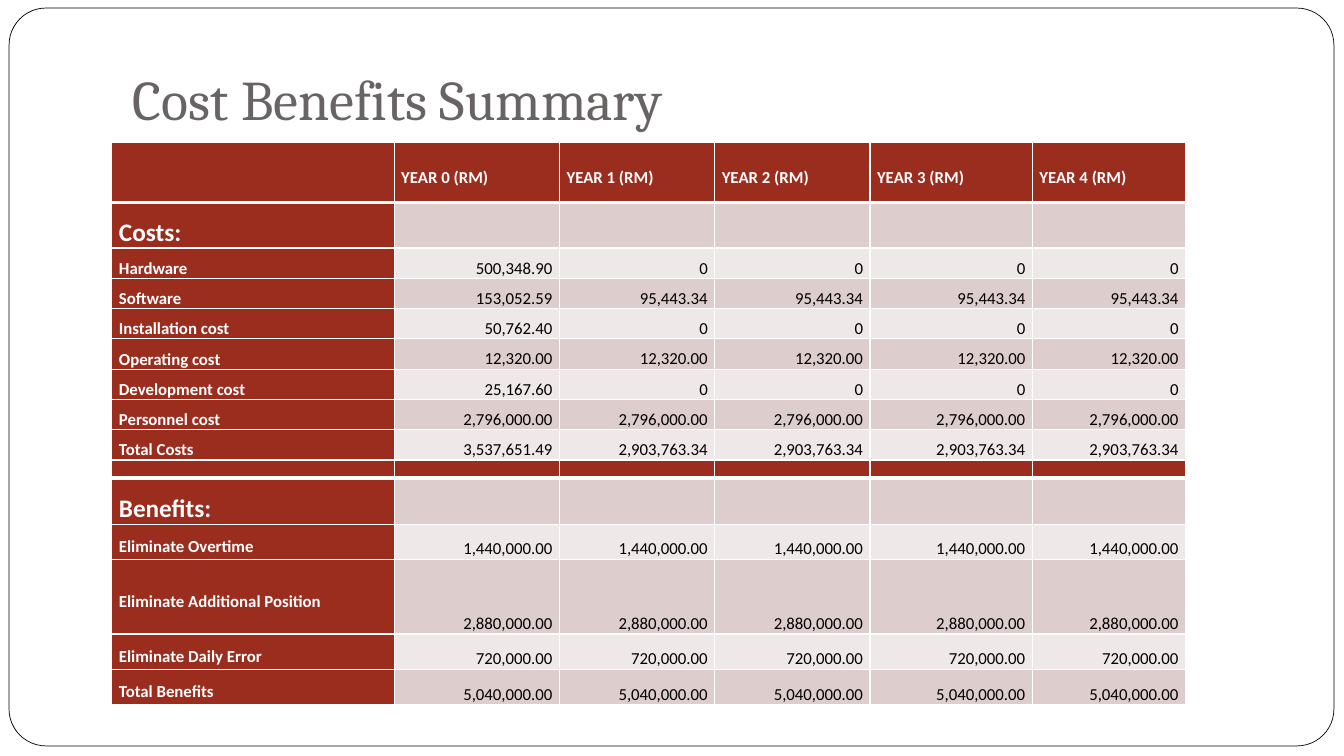
from lxml.etree import SubElement
from pptx import Presentation
from pptx.dml.color import RGBColor
from pptx.enum.shapes import MSO_SHAPE
from pptx.enum.text import MSO_ANCHOR, PP_ALIGN
from pptx.oxml.ns import qn
from pptx.util import Inches, Pt

WHITE = RGBColor(0xFF, 0xFF, 0xFF)
BLACK = RGBColor(0, 0, 0)
GREY = RGBColor(0x69, 0x64, 0x64)
RED = RGBColor(0x9B, 0x2D, 0x1F)
BANDS = [RGBColor(0xDE, 0xCD, 0xCD), RGBColor(0xEF, 0xE8, 0xE8)]

YEARS = 5
COLUMN_WIDTHS = [2.8, 1.64, 1.54, 1.54, 1.61, 1.52]
TABLE_LEFT = 1.11


def every_year(label, value):
    return [label] + [value] * YEARS


def first_year(label, value, later):
    return [label, value] + [later] * (YEARS - 1)


COSTS = [
    [""] + [f"YEAR {n} (RM)" for n in range(YEARS)],
    every_year("Costs:", ""),
    first_year("Hardware", "500,348.90", "0"),
    first_year("Software", "153,052.59", "95,443.34"),
    first_year("Installation cost", "50,762.40", "0"),
    every_year("Operating cost", "12,320.00"),
    first_year("Development cost", "25,167.60", "0"),
    every_year("Personnel cost", "2,796,000.00"),
    first_year("Total Costs", "3,537,651.49", "2,903,763.34"),
]
BENEFITS = [
    every_year("", ""),
    every_year("Benefits:", ""),
    every_year("Eliminate Overtime", "1,440,000.00"),
    every_year("Eliminate Additional Position", "2,880,000.00"),
    every_year("Eliminate Daily Error", "720,000.00"),
    every_year("Total Benefits", "5,040,000.00"),
]


def write(tf, text, size=12, font="Calibri", color=BLACK, bold=False,
          align=PP_ALIGN.LEFT, spacing=None):
    p = tf.paragraphs[0]
    p.alignment = align
    p.line_spacing = spacing
    if not text:
        # Keep an empty cell from stretching its row
        SubElement(p._p, qn("a:endParaRPr"), sz="400")
        return
    r = p.add_run()
    r.text = text
    r.font.size = Pt(size)
    r.font.name = font
    r.font.color.rgb = color
    r.font.bold = bold


def set_borders(cell, bottom):
    tcPr = cell._tc.get_or_add_tcPr()
    widths = {"a:lnL": 1, "a:lnR": 1, "a:lnT": 1, "a:lnB": bottom}
    for i, (tag, width) in enumerate(widths.items()):
        ln = SubElement(tcPr, qn(tag), w=str(Pt(width)))
        fill = SubElement(ln, qn("a:solidFill"))
        SubElement(fill, qn("a:srgbClr"), val=str(WHITE))
        tcPr.insert(i, ln)


def format_cell(cell, text, row, col):
    is_label = row == 0 or col == 0
    cell.fill.solid()
    cell.fill.fore_color.rgb = RED if is_label else BANDS[(row - 1) % 2]
    set_borders(cell, bottom=3 if row == 0 else 1)
    cell.margin_left = cell.margin_right = Inches(0.07)
    cell.margin_top = cell.margin_bottom = 0
    cell.vertical_anchor = MSO_ANCHOR.MIDDLE if is_label else MSO_ANCHOR.BOTTOM
    write(cell.text_frame, text,
          size=18 if text.endswith(":") else 12,
          color=WHITE if is_label else BLACK, bold=is_label,
          align=PP_ALIGN.LEFT if is_label else PP_ALIGN.RIGHT, spacing=1.5)


def add_cost_table(s, top, rows, heights):
    frame = s.shapes.add_table(
        len(rows), len(COLUMN_WIDTHS), Inches(TABLE_LEFT), Inches(top),
        Inches(sum(COLUMN_WIDTHS)), Inches(sum(heights)))
    table = frame.table
    table.horz_banding = False
    for column, width in zip(table.columns, COLUMN_WIDTHS):
        column.width = Inches(width)
    for i, (texts, height) in enumerate(zip(rows, heights)):
        table.rows[i].height = Inches(height)
        for j, text in enumerate(texts):
            format_cell(table.cell(i, j), text, i, j)


def add_frame(s):
    sp = s.shapes.add_shape(MSO_SHAPE.ROUNDED_RECTANGLE, Inches(0.09),
                            Inches(0.08), Inches(13.14), Inches(7.32))
    sp.adjustments[0] = 0.05
    sp.shadow.inherit = False
    sp.fill.solid()
    sp.fill.fore_color.rgb = WHITE
    sp.line.color.rgb = BLACK
    sp.line.width = Pt(0.5)


def add_title(s, text):
    sp = s.shapes.add_textbox(Inches(1.22), Inches(0.16),
                              Inches(11.33), Inches(1.25))
    tf = sp.text_frame
    tf.word_wrap = True
    tf.vertical_anchor = MSO_ANCHOR.BOTTOM
    tf.margin_bottom = Inches(0.1)
    write(tf, text, size=40, font="Cambria", color=GREY)


def main():
    prs = Presentation()
    prs.slide_width = Inches(13.33)
    prs.slide_height = Inches(7.5)
    s = prs.slides.add_slide(prs.slide_layouts[6])

    # Frame and title
    add_frame(s)
    add_title(s, "Cost Benefits Summary")

    # Benefits lie behind the lower edge of the costs
    add_cost_table(s, 4.56, BENEFITS, [0.18, 0.46, 0.35, 0.74, 0.35, 0.35])
    add_cost_table(s, 1.41, COSTS, [0.6, 0.45] + [0.3] * 7)

    prs.save("out.pptx")


if __name__ == "__main__":
    main()
